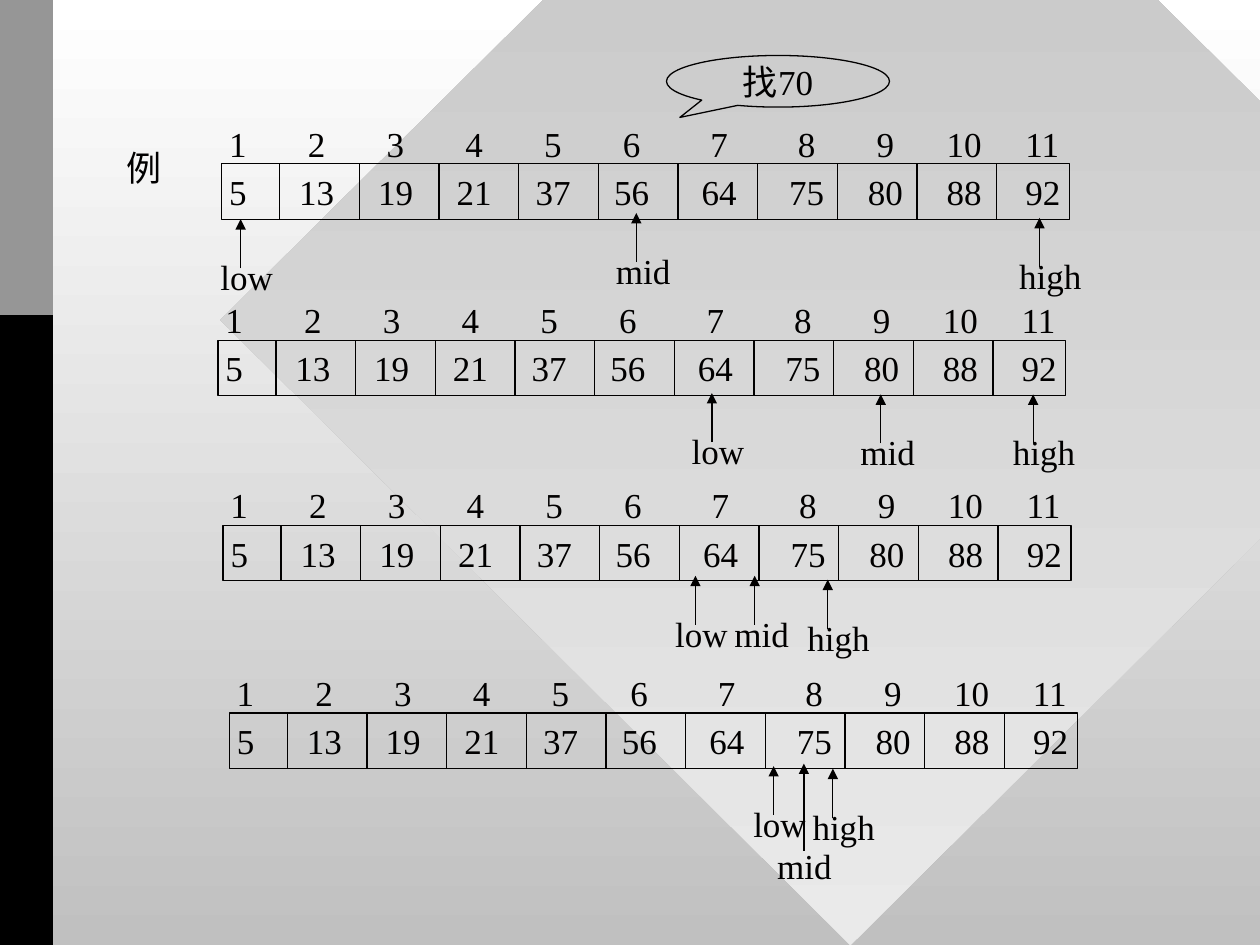
from lxml import etree
from pptx import Presentation
from pptx.dml.color import RGBColor
from pptx.enum.shapes import MSO_CONNECTOR, MSO_SHAPE
from pptx.enum.text import MSO_ANCHOR, PP_ALIGN
from pptx.oxml.ns import qn
from pptx.util import Inches, Pt

STRAIGHT = MSO_CONNECTOR.STRAIGHT
RECTANGLE, DIAMOND = MSO_SHAPE.RECTANGLE, MSO_SHAPE.DIAMOND
CALLOUT = MSO_SHAPE.OVAL_CALLOUT
TOP, MIDDLE = MSO_ANCHOR.TOP, MSO_ANCHOR.MIDDLE
LEFT, CENTER = PP_ALIGN.LEFT, PP_ALIGN.CENTER

INK = RGBColor(0x01, 0x00, 0x00)
BLACK = RGBColor(0x00, 0x00, 0x00)
GRAY = RGBColor(0x96, 0x96, 0x96)
SILVER = RGBColor(0xC0, 0xC0, 0xC0)
PALE = RGBColor(0xEA, 0xEA, 0xEA)
WHITE = RGBColor(0xFF, 0xFF, 0xFF)

FONT = "Times New Roman"
SIZE = 20
LINE_WIDTH = 0.75

INDEXES = [1, 2, 3, 4, 5, 6, 7, 8, 9, 10, 11]
VALUES = [5, 13, 19, 21, 37, 56, 64, 75, 80, 88, 92]
INDEX_STOPS = [45, 90, 135, 180, 225, 275, 325, 370, 410, 455]
VALUE_STOPS = [40, 85, 130, 175, 220, 270, 320, 365, 410, 455]

STEPS = [
    {"left": 1.76, "top": 1.3, "pointers": [
        ("low", 1.91, 1.74), ("high", 8.25, 1.73), ("mid", 5.05, 1.69)]},
    {"left": 1.73, "top": 2.7, "pointers": [
        ("low", 5.65, 3.12), ("high", 8.2, 3.13), ("mid", 6.99, 3.13)]},
    {"left": 1.77, "top": 4.17, "pointers": [
        ("low", 5.52, 4.57), ("high", 6.57, 4.6), ("mid", 5.99, 4.57)]},
    {"left": 1.82, "top": 5.66, "pointers": [
        ("low", 6.14, 6.08), ("high", 6.61, 6.1),
        ("mid", 6.38, 6.06, 0.69, 0.31, 0.1)]},
]

ROW_WIDTH, ROW_HEIGHT = 6.73, 0.44
FIRST_DIVIDER, LAST_DIVIDER = 0.46, 6.15
DIVIDERS = len(VALUES) - 1
PITCH = (LAST_DIVIDER - FIRST_DIVIDER) / (DIVIDERS - 1)
LABEL_WIDTHS = {"low": 0.61, "high": 0.69, "mid": 0.63}


def write(box, text, align=LEFT, anchor=TOP, stops=(), inset=0.1, wrap=False):
    frame = box.text_frame
    frame.word_wrap = wrap
    frame.vertical_anchor = anchor
    frame.margin_left = Inches(inset)
    frame.margin_right = Inches(inset if align == CENTER else 0)
    para = frame.paragraphs[0]
    para.alignment = align
    if stops:
        tabs = etree.SubElement(para._p.get_or_add_pPr(), qn("a:tabLst"))
        for stop in stops:
            etree.SubElement(tabs, qn("a:tab"), pos=str(Pt(stop)), algn="l")
    span = para.add_run()
    span.text = text
    span.font.name = FONT
    span.font.size = Pt(SIZE)
    span.font.color.rgb = INK


def add_text(page, text, left, top, width, **style):
    box = page.shapes.add_textbox(*map(Inches, (left, top, width, ROW_HEIGHT)))
    write(box, text, **style)


def fill_gradient(fill, first, last):
    fill.gradient()
    fill.gradient_angle = 270
    for stop, color in zip(fill.gradient_stops, (first, last)):
        stop.color.rgb = color


def add_plain(page, kind, left, top, width, height, color=None):
    shape = page.shapes.add_shape(kind, *map(Inches, (left, top, width, height)))
    shape.shadow.inherit = False
    shape.line.fill.background()
    if color is None:
        shape.fill.background()
    else:
        shape.fill.solid()
        shape.fill.fore_color.rgb = color
    return shape


def add_outlined(page, kind, left, top, width, height):
    shape = add_plain(page, kind, left, top, width, height)
    shape.line.color.rgb = INK
    shape.line.width = Pt(LINE_WIDTH)
    return shape


def add_line(page, x, start, end, arrow=False):
    line = page.shapes.add_connector(STRAIGHT, *map(Inches, (x, start, x, end)))
    line.line.color.rgb = INK
    line.line.width = Pt(LINE_WIDTH)
    if arrow:
        etree.SubElement(line.line._get_or_add_ln(), qn("a:tailEnd"), type="triangle")
    etree.SubElement(line._element.spPr, qn("a:effectLst"))


def add_pointer(page, name, x, tip, length=0.39, shift=0.26, overlap=0.15):
    tail = tip + length
    add_line(page, x, tail, tip, arrow=True)
    add_text(page, name, x - shift, tail - overlap, LABEL_WIDTHS[name])


def add_step(page, left, top, pointers):
    add_text(page, "\t".join(map(str, INDEXES)), left - 0.04, top - 0.38, 6.81,
             stops=INDEX_STOPS, wrap=True)
    row = add_outlined(page, RECTANGLE, left, top, ROW_WIDTH, ROW_HEIGHT)
    write(row, "\t".join(map(str, VALUES)), anchor=MIDDLE,
          stops=VALUE_STOPS, inset=0.06, wrap=True)
    for number in range(DIVIDERS):
        add_line(page, left + FIRST_DIVIDER + number * PITCH, top, top + ROW_HEIGHT)
    for pointer in pointers:
        add_pointer(page, *pointer)


def main():
    deck = Presentation()
    deck.slide_width, deck.slide_height = Inches(10), Inches(7.5)
    page = deck.slides.add_slide(deck.slide_layouts[6])

    fill_gradient(page.background.fill, WHITE, SILVER)
    diamond = add_plain(page, DIAMOND, 1.75, -2.42, 10, 9.92)
    fill_gradient(diamond.fill, SILVER, PALE)
    add_plain(page, RECTANGLE, 0, 0, 0.42, 7.5, BLACK)
    add_plain(page, RECTANGLE, 0, 0, 0.42, 2.5, GRAY)

    add_text(page, "例", 0.91, 1.11, 0.54)
    callout = add_outlined(page, CALLOUT, 5.29, 0.44, 1.77, 0.41)
    callout.adjustments[0] = -0.44
    callout.adjustments[1] = 0.7
    write(callout, "找70", align=CENTER, anchor=MIDDLE)

    for step in STEPS:
        add_step(page, **step)
    deck.save("out.pptx")


if __name__ == "__main__":
    main()
